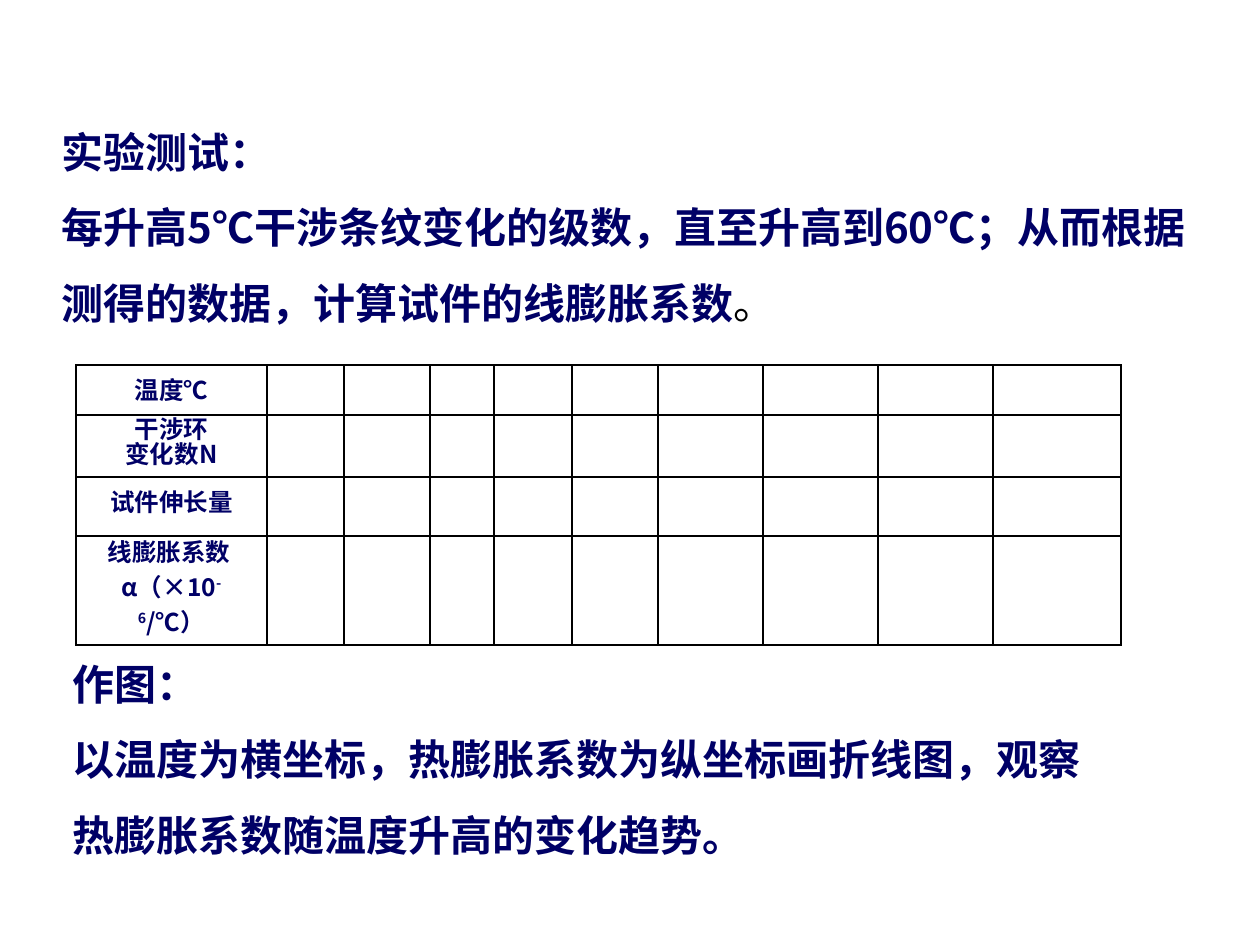
from lxml import etree
from pptx import Presentation
from pptx import util as u
from pptx.dml.color import RGBColor
from pptx.enum import text
from pptx.oxml.ns import qn

PX = 914400 // 126
FONT = "Noto Sans CJK SC"
NAVY = "000066"
BLACK = "000000"
COLUMNS = [191, 77, 86, 64, 78, 86, 105, 115, 115, 128]
ROWS = [50, 62, 59, 75]


def px(n):
    return u.Emu(n * PX)


def color(value):
    return RGBColor.from_string(value)


def add_run(paragraph, words, size=24, fill=NAVY, bold=True, raised=False):
    run = paragraph.add_run()
    run.text = words
    font = run.font
    font.size, font.bold, font.name = u.Pt(size), bold, FONT
    font.color.rgb = color(fill)
    properties = run._r.get_or_add_rPr()
    etree.SubElement(properties, qn("a:ea")).set("typeface", FONT)
    if raised:
        properties.set("baseline", "30000")


def write(frame, paragraphs):
    """Each paragraph is a list of runs (words, format) and a dict of settings."""
    for i, (runs, settings) in enumerate(paragraphs):
        paragraph = frame.paragraphs[0] if i == 0 else frame.add_paragraph()
        paragraph.alignment = settings.get("align")
        paragraph.line_spacing = settings.get("spacing")
        if "indent" in settings:
            paragraph._p.get_or_add_pPr().set("indent", str(px(settings["indent"])))
        for words, style in runs:
            add_run(paragraph, words, **style)


def add_text(slide, box, paragraphs):
    frame = slide.shapes.add_textbox(*map(px, box)).text_frame
    frame.word_wrap = True
    frame.auto_size = text.MSO_AUTO_SIZE.SHAPE_TO_FIT_TEXT
    write(frame, [(runs, {"spacing": 1.5}) for runs in paragraphs])


def add_borders(cell):
    properties = cell._tc.get_or_add_tcPr()
    for side in ("lnL", "lnR", "lnT", "lnB"):
        line = etree.SubElement(properties, qn("a:" + side), w=str(u.Pt(1)))
        fill = etree.SubElement(line, qn("a:solidFill"))
        etree.SubElement(fill, qn("a:srgbClr"), val=BLACK)


def label(*pieces, points=None, align=text.PP_ALIGN.CENTER, **settings):
    """One paragraph of a row heading; pieces alternate normal and raised."""
    runs = [(piece, {"size": 14, "raised": i % 2 == 1}) for i, piece in enumerate(pieces)]
    return runs, dict(settings, align=align, spacing=points and u.Pt(points))


def add_record_table(slide, left, top, headings):
    table = slide.shapes.add_table(len(ROWS), len(COLUMNS), px(left), px(top),
                                   px(sum(COLUMNS)), px(sum(ROWS))).table
    table.first_row = table.horz_banding = False
    for column, width in zip(table.columns, COLUMNS):
        column.width = px(width)
    for row, height in zip(table.rows, ROWS):
        row.height = px(height)
    for cell in table.iter_cells():
        add_borders(cell)
        cell.fill.background()
        cell.text_frame.paragraphs[0].font.size = u.Pt(14)
    for i, paragraphs in enumerate(headings):
        write(table.cell(i, 0).text_frame, paragraphs)


def main():
    deck = Presentation()
    deck.slide_width, deck.slide_height = u.Inches(10), u.Inches(7.5)
    slide = deck.slides.add_slide(deck.slide_layouts[6])

    # Test instructions
    add_text(slide, (49, 95, 1159, 242), [
        [("实验测试：", {})],
        [("每升高5℃干涉条纹变化的级数，直至升高到60℃；从而根据测得的数据，计算试件的线膨胀系数", {}),
         ("。", {"fill": BLACK, "bold": False})],
    ])

    # Table for the readings
    add_record_table(slide, 76, 365, [
        [label("温度℃", points=20)],
        [label("干涉环", points=14), label("变化数N", points=14)],
        [label("试件伸长量")],
        [label("线膨胀系数", points=15, align=text.PP_ALIGN.JUSTIFY, indent=19),
         label("α（×10", "-6", "/℃）", points=20)],
    ])

    # Plotting instructions
    add_text(slide, (60, 627, 1068, 242), [
        [("作图：", {})],
        [("以温度为横坐标，热膨胀系数为纵坐标画折线图，观察热膨胀系数随温度升高的变化趋势。", {})],
    ])

    deck.save("out.pptx")


main()
